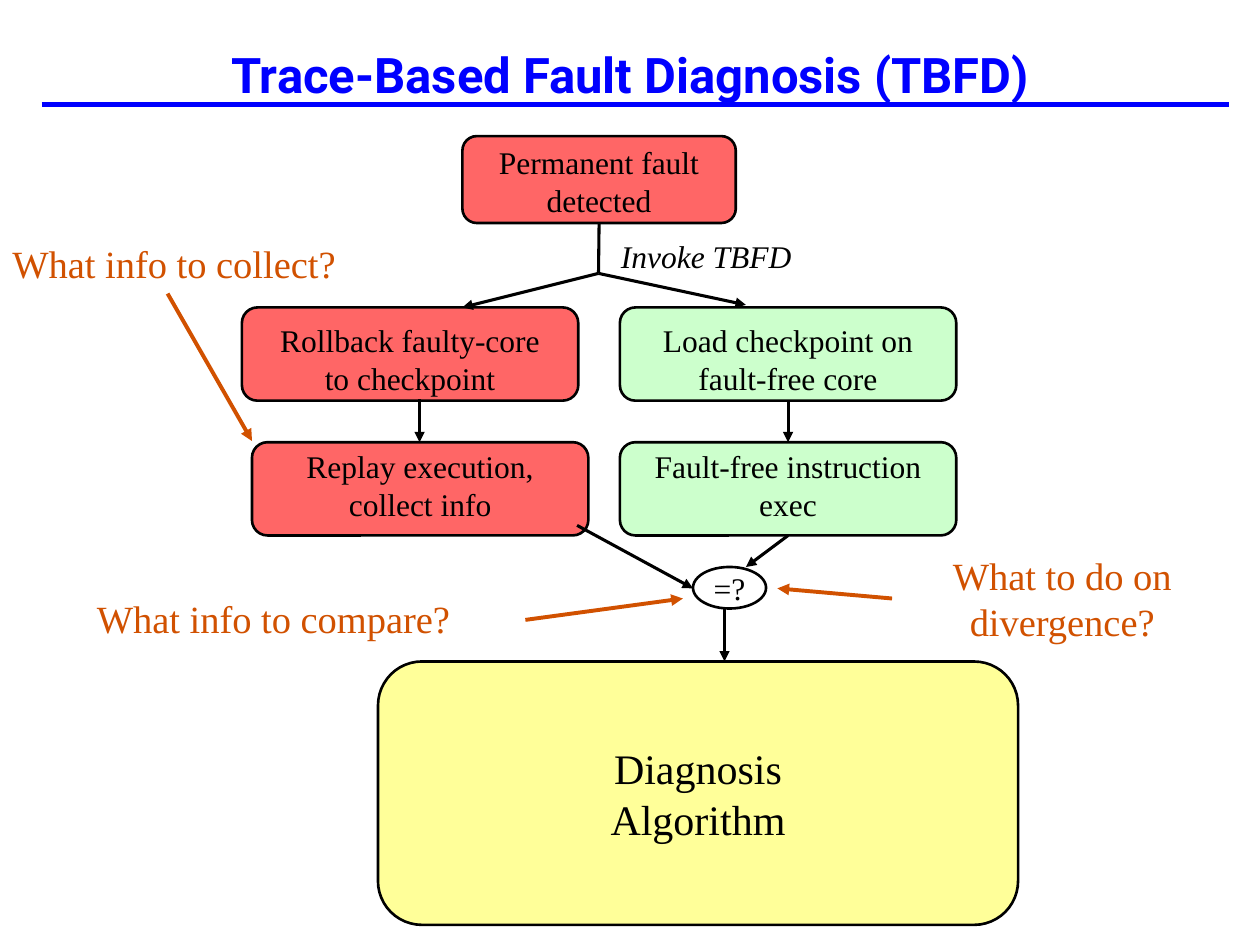
from lxml import etree
from pptx import Presentation
from pptx import util as u
from pptx.dml.color import RGBColor
from pptx.enum import shapes, text
from pptx.oxml.ns import qn

BLACK = RGBColor(0x00, 0x00, 0x00)
BLUE = RGBColor(0x00, 0x00, 0xFF)
RED = RGBColor(0xFF, 0x66, 0x66)
GREEN = RGBColor(0xCC, 0xFF, 0xCC)
YELLOW = RGBColor(0xFF, 0xFF, 0x99)
ORANGE = RGBColor(0xD1, 0x51, 0x00)


def write(sp, content, size=18, color=BLACK, font="Times New Roman", bold=False,
          italic=False, align=text.PP_ALIGN.CENTER, anchor=text.MSO_ANCHOR.TOP,
          wrap=True, side=0.1, top=0.05):
    tf = sp.text_frame
    tf.word_wrap = wrap
    tf.vertical_anchor = anchor
    tf.margin_left = tf.margin_right = u.Inches(side)
    tf.margin_top = u.Inches(top)
    for i, line in enumerate(content.split("\n")):
        p = tf.paragraphs[0] if i == 0 else tf.add_paragraph()
        p.alignment = align
        r = p.add_run()
        r.text = line
        r.font.name = font
        r.font.size = u.Pt(size)
        r.font.bold = bold
        r.font.italic = italic
        r.font.color.rgb = color


def connect(x1, y1, x2, y2, color=BLACK, width=1.75, arrow=True, start=None, end=None):
    c = s.shapes.add_connector(shapes.MSO_CONNECTOR.STRAIGHT, *map(u.Inches, (x1, y1, x2, y2)))
    if start:
        c.begin_connect(start, 2)
    if end:
        c.end_connect(end, 0)
    c.line.color.rgb = color
    c.line.width = u.Pt(width)
    if arrow:
        etree.SubElement(c.line._get_or_add_ln(), qn("a:tailEnd"), type="triangle")
    etree.SubElement(c._element.spPr, qn("a:effectLst"))


prs = Presentation()
prs.slide_width, prs.slide_height = u.Inches(10), u.Inches(7.5)
s = prs.slides.add_slide(prs.slide_layouts[6])

connect(0.33, 0.83, 9.75, 0.83, color=BLUE, width=3, arrow=False)
title = s.shapes.add_textbox(u.Inches(0), u.Inches(0.17), u.Inches(10), u.Inches(0.83))
write(title, "Trace-Based Fault Diagnosis (TBFD)", size=28, color=BLUE, font="Roboto",
      bold=True, anchor=text.MSO_ANCHOR.MIDDLE)

ROUND, OVAL = shapes.MSO_SHAPE.ROUNDED_RECTANGLE, shapes.MSO_SHAPE.OVAL
middle = dict(anchor=text.MSO_ANCHOR.MIDDLE, wrap=False)
steps = {}
for name, kind, x, y, w, h, fill, content, style in [
    ("detected", ROUND, 3.67, 1.08, 2.17, 0.69, RED, "Permanent fault detected", dict(top=0.02)),
    ("rollback", ROUND, 1.92, 2.44, 2.67, 0.74, RED, "Rollback faulty-core to checkpoint",
     dict(top=0.07, side=0.15)),
    ("replay", ROUND, 2, 3.51, 2.67, 0.74, RED, "Replay execution, collect info",
     dict(top=0, side=0.15)),
    ("load", ROUND, 4.92, 2.44, 2.67, 0.74, GREEN, "Load checkpoint on fault-free core",
     dict(top=0.07, side=0.15)),
    ("execute", ROUND, 4.92, 3.51, 2.67, 0.74, GREEN, "Fault-free instruction exec",
     dict(top=0, side=0.15)),
    ("compare", OVAL, 5.5, 4.5, 0.58, 0.33, None, "=?", middle),
    ("diagnosis", ROUND, 3, 5.25, 5.08, 2.09, YELLOW, "Diagnosis\nAlgorithm",
     dict(middle, size=24)),
]:
    sp = s.shapes.add_shape(kind, *map(u.Inches, (x, y, w, h)))
    sp.shadow.inherit = False
    if fill is None:
        sp.fill.background()
    else:
        sp.fill.solid()
        sp.fill.fore_color.rgb = fill
    sp.line.color.rgb = BLACK
    sp.line.width = u.Pt(1.5)
    write(sp, content, **style)
    steps[name] = sp

connect(4.75, 1.77, 4.75, 2.17, arrow=False, start=steps["detected"])
connect(4.75, 2.17, 3.67, 2.44)
connect(4.75, 2.17, 5.92, 2.42)
connect(3.33, 3.17, 3.33, 3.51)
connect(6.25, 3.17, 6.25, 3.51, start=steps["load"], end=steps["execute"])
connect(4.58, 4.17, 5.5, 4.67)
connect(6.25, 4.25, 5.92, 4.5, start=steps["execute"])
connect(5.75, 4.83, 5.75, 5.25)

LEFT, CENTER = text.PP_ALIGN.LEFT, text.PP_ALIGN.CENTER
question = dict(size=22, color=ORANGE, wrap=False)
for content, x, y, w, h, style in [
    ("What info to collect?", 0, 1.86, 3.21, 0.47, dict(question, align=LEFT)),
    ("What info to compare?", 0.67, 4.67, 3.51, 0.47, dict(question, align=LEFT)),
    ("What to do on\ndivergence?", 7.27, 4.33, 2.32, 0.83, dict(question, align=CENTER)),
    ("Invoke TBFD", 4.83, 1.83, 2.25, 0.4, dict(italic=True, align=LEFT)),
]:
    write(s.shapes.add_textbox(*map(u.Inches, (x, y, w, h))), content, **style)

for ends in [(1.33, 2.33, 2, 3.5), (4.17, 4.92, 5.42, 4.75), (7.08, 4.75, 6.17, 4.67)]:
    connect(*ends, color=ORANGE, width=2.25)

prs.save("out.pptx")
